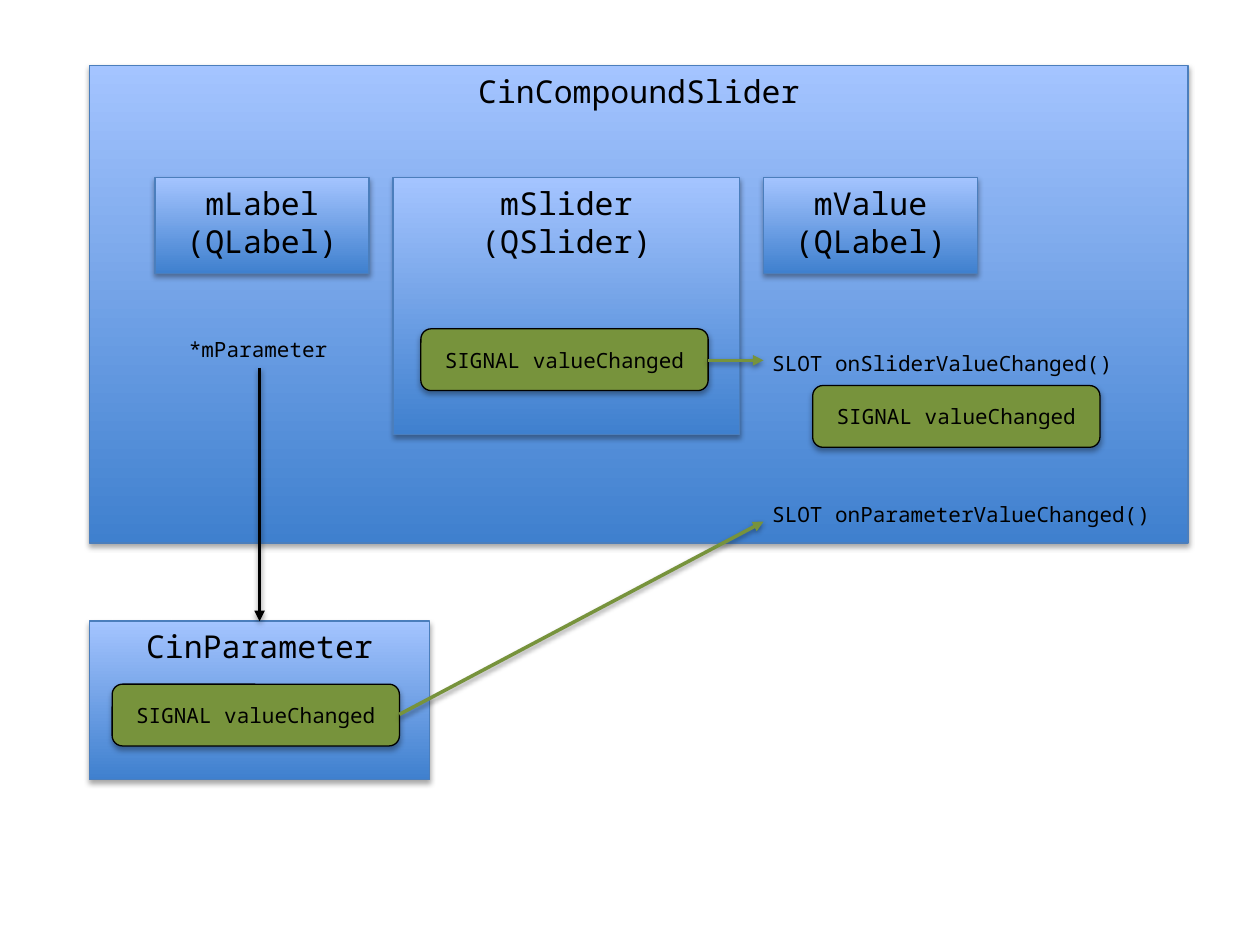
from lxml import etree
from pptx import Presentation
from pptx.dml.color import RGBColor
from pptx.enum.shapes import MSO_CONNECTOR, MSO_SHAPE
from pptx.enum.text import MSO_ANCHOR, MSO_AUTO_SIZE, PP_ALIGN
from pptx.oxml.ns import qn
from pptx.util import Inches, Pt

RECTANGLE, ROUNDED = MSO_SHAPE.RECTANGLE, MSO_SHAPE.ROUNDED_RECTANGLE
STRAIGHT = MSO_CONNECTOR.STRAIGHT
TOP, MIDDLE = MSO_ANCHOR.TOP, MSO_ANCHOR.MIDDLE
LEFT, CENTER = PP_ALIGN.LEFT, PP_ALIGN.CENTER
FIT_SHAPE = MSO_AUTO_SIZE.SHAPE_TO_FIT_TEXT
FONT = "Noto Sans Mono"
BLACK, GREEN, BORDER = "000000", "77933C", "4B7EBC"
GRADIENT = ("3F80CE", "A4C4FF")
SIGNAL = "SIGNAL valueChanged"
SIGNAL_WIDTH, SIGNAL_HEIGHT = 2.28, 0.49


def color(value):
    """Turn a hex string into a colour."""
    return RGBColor.from_string(value)


def apply(target, values):
    """Set attributes from a dict of format values."""
    for name, value in values.items():
        setattr(target, name, value)


def add_shadow(shape, distance, opacity):
    """Give a shape or connector a soft shadow straight below it."""
    effects = etree.SubElement(shape.element.spPr, qn("a:effectLst"))
    shadow = etree.SubElement(effects, qn("a:outerShdw"), {
        "blurRad": str(Pt(3.1)), "dist": str(Pt(distance)),
        "dir": "5400000", "rotWithShape": "0"})
    shade = etree.SubElement(shadow, qn("a:srgbClr"), val=BLACK)
    etree.SubElement(shade, qn("a:alpha"), val=str(opacity * 1000))


def write_lines(text_frame, lines, size, alignment, gap=0):
    """Write one paragraph per line, with a gap in points between them."""
    text_frame.text = "\n".join(lines)
    for index, paragraph in enumerate(text_frame.paragraphs):
        apply(paragraph, {"alignment": alignment,
                          "space_before": Pt(gap if index else 0)})
        apply(paragraph.font, {"name": FONT, "size": Pt(size)})
        paragraph.font.color.rgb = color(BLACK)


def add_box(slide, preset, box, lines, size, anchor, border):
    """Add an outlined shape with centred text."""
    shape = slide.shapes.add_shape(preset, *map(Inches, box))
    shape.line.color.rgb = color(border)
    shape.line.width = Pt(0.75)
    add_shadow(shape, 1.8, 35)
    apply(shape.text_frame, {"word_wrap": True, "vertical_anchor": anchor})
    write_lines(shape.text_frame, lines, size, CENTER)
    return shape


def add_class(slide, box, *lines):
    """Add a blue gradient box for a class or member."""
    fill = add_box(slide, RECTANGLE, box, lines, 18, TOP, BORDER).fill
    fill.gradient()
    fill.gradient_angle = 90
    for stop, value in zip(fill.gradient_stops, GRADIENT):
        stop.color.rgb = color(value)


def add_signal(slide, left, top):
    """Add a green signal box."""
    box = (left, top, SIGNAL_WIDTH, SIGNAL_HEIGHT)
    shape = add_box(slide, ROUNDED, box, [SIGNAL], 12, MIDDLE, BLACK)
    shape.fill.solid()
    shape.fill.fore_color.rgb = color(GREEN)


def add_label(slide, box, lines, gap=0):
    """Add a small text label that does not wrap."""
    text_frame = slide.shapes.add_textbox(*map(Inches, box)).text_frame
    apply(text_frame, {"word_wrap": False, "auto_size": FIT_SHAPE})
    write_lines(text_frame, lines, 12, LEFT, gap)


def add_arrow(slide, start, end, value):
    """Add a straight arrow between two points."""
    arrow = slide.shapes.add_connector(STRAIGHT, *map(Inches, start + end))
    arrow.line.color.rgb = color(value)
    arrow.line.width = Pt(2)
    outline = arrow.element.spPr.find(qn("a:ln"))
    etree.SubElement(outline, qn("a:tailEnd"), type="triangle")
    add_shadow(arrow, 1.6, 38)


def draw_compound_slider(slide, left, top, width, height):
    """Draw the compound slider with its members, signals and slots."""
    add_class(slide, (left, top, width, height), "CinCompoundSlider")
    member_top = top + 0.89
    add_class(slide, (left + 0.52, member_top, 1.7, 0.76), "mLabel", "(QLabel)")
    add_class(slide, (left + 2.41, member_top, 2.75, 2.04), "mSlider", "(QSlider)")
    add_class(slide, (left + 5.35, member_top, 1.7, 0.76), "mValue", "(QLabel)")
    add_label(slide, (left + 0.69, top + 2.1, 1.32, 0.3), ["*mParameter"])
    add_label(slide, (left + 5.32, top + 2.21, 3.25, 1.72),
              ["SLOT onSliderValueChanged()", "SLOT onParameterValueChanged()"], 72)
    add_signal(slide, left + 2.63, top + 2.09)
    add_signal(slide, left + 5.74, top + 2.54)


def draw_parameter(slide, left, top, width, height):
    """Draw the parameter class with its signal."""
    add_class(slide, (left, top, width, height), "CinParameter")
    add_signal(slide, left + 0.18, top + 0.5)


def draw_connections(slide):
    """Draw the pointer and the signal-to-slot arrows."""
    add_arrow(slide, (2.06, 2.92), (2.06, 4.93), BLACK)
    add_arrow(slide, (5.62, 2.86), (6.06, 2.86), GREEN)
    add_arrow(slide, (3.17, 5.67), (6.06, 4.14), GREEN)


def main():
    """Build and save the presentation."""
    presentation = Presentation()
    apply(presentation, {"slide_width": Inches(10), "slide_height": Inches(7.5)})
    slide = presentation.slides.add_slide(presentation.slide_layouts[6])
    draw_compound_slider(slide, 0.71, 0.52, 8.72, 3.79)
    draw_parameter(slide, 0.71, 4.93, 2.7, 1.26)
    draw_connections(slide)
    presentation.save("out.pptx")


if __name__ == "__main__":
    main()
